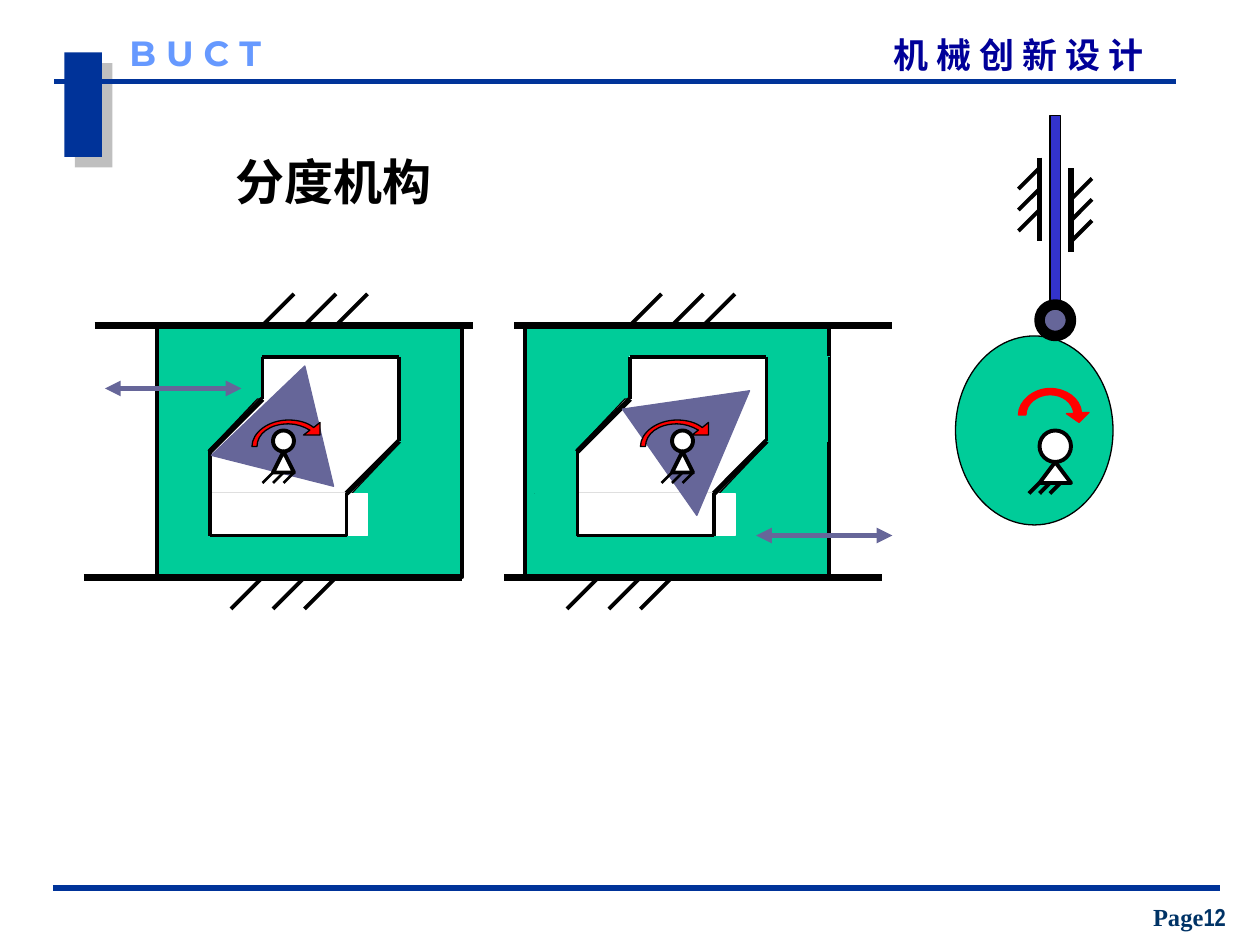
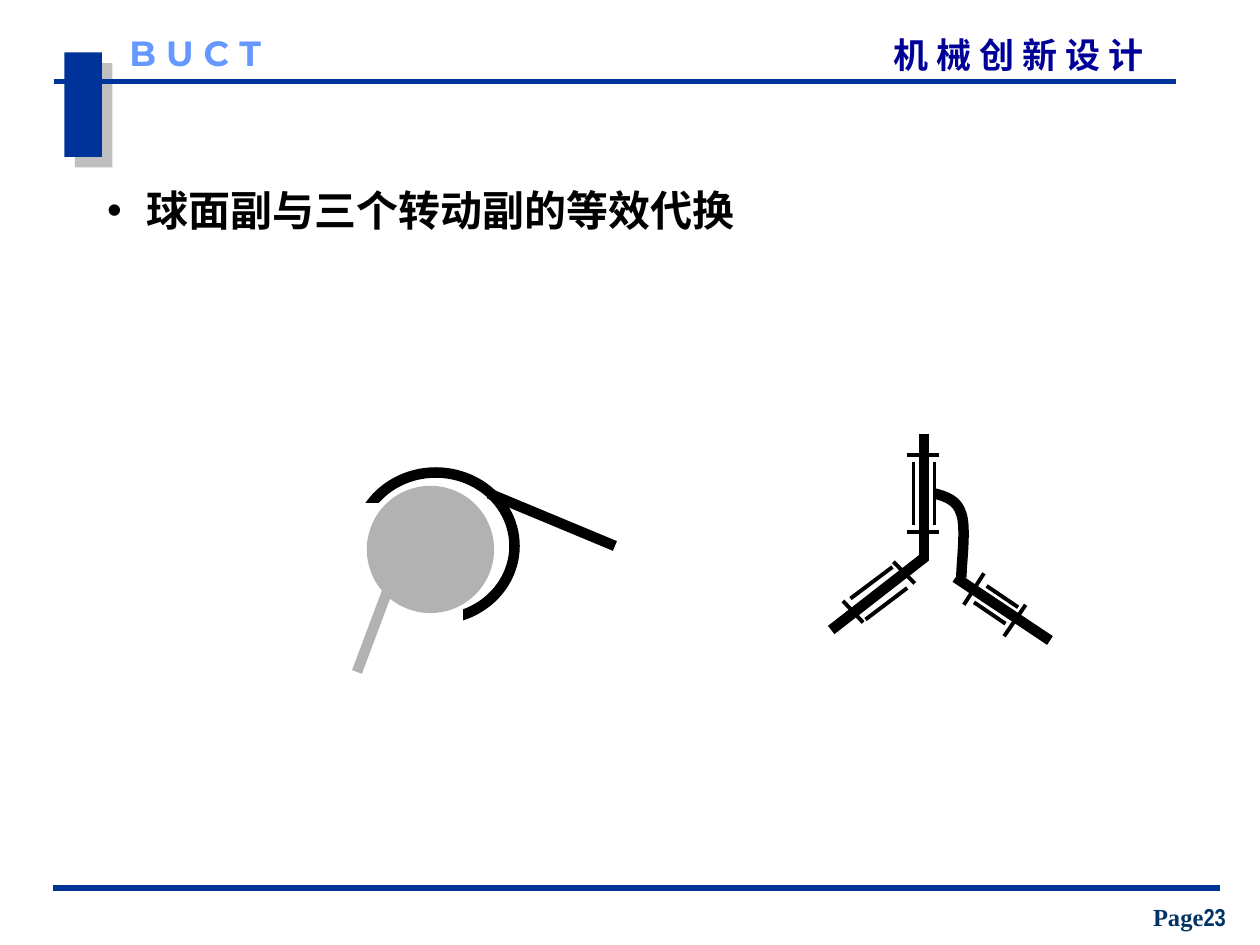
from dataclasses import dataclass

from lxml import etree
from pptx import Presentation
from pptx.dml.color import RGBColor
from pptx.enum import shapes, text
from pptx.oxml import ns
from pptx.util import Pt

KIND = shapes.MSO_SHAPE


@dataclass(frozen=True)
class Theme:
    # Colours
    navy: str = "003399"
    course: str = "000099"
    school: str = "6699FF"
    page: str = "003366"
    ink: str = "000000"
    paper: str = "FFFFFF"
    body: str = "00CC99"
    rotor: str = "666699"
    rod: str = "3333CC"
    motion: str = "FF0000"
    ball: str = "B2B2B2"
    shadow: str = "808080"
    # Fonts and type sizes
    cjk: str = "Noto Sans CJK SC"
    title_font: str = "Lato"
    school_font: str = "Montserrat"
    page_font: str = "Times New Roman"
    number_font: str = "Arial Narrow"
    title_size: float = 28
    list_size: float = 24
    header_size: float = 20
    page_size: float = 14
    # Line widths
    hair: float = 0.75
    thin: float = 1.5
    mid: float = 2.25
    thick: float = 3
    rail: float = 4.5
    heavy: float = 6


T = Theme()


def rgb(color):
    return RGBColor.from_string(color)


def child(parent, tag, **attributes):
    return etree.SubElement(parent, ns.qn(tag), **attributes)


def style_run(run, size, font, color):
    run.font.size = Pt(size)
    run.font.bold = True
    run.font.color.rgb = rgb(color)
    run.font.name = font
    child(run.font._element, "a:ea", typeface=T.cjk)


def set_indent(paragraph, left, first=0):
    properties = paragraph._p.get_or_add_pPr()
    properties.set("marL", str(Pt(left)))
    properties.set("indent", str(Pt(first)))


def set_frame(frame, margins=(7.2, 3.6), anchor=text.MSO_ANCHOR.TOP):
    frame.word_wrap = True
    frame.auto_size = text.MSO_AUTO_SIZE.NONE
    frame.vertical_anchor = anchor
    frame.margin_left = frame.margin_right = Pt(margins[0])
    frame.margin_top = frame.margin_bottom = Pt(margins[1])


class Panel:
    """A region of a slide; everything drawn is relative to its corner."""

    def __init__(self, slide, left=0, top=0):
        self.slide, self.left, self.top = slide, left, top

    def at(self, x, y):
        return Pt(self.left + x), Pt(self.top + y)

    def sub(self, x, y):
        return Panel(self.slide, self.left + x, self.top + y)

    def finish(self, part, fill, line, weight):
        part.shadow.inherit = False
        if fill:
            part.fill.solid()
            part.fill.fore_color.rgb = rgb(fill)
        else:
            part.fill.background()
        if line:
            part.line.color.rgb = rgb(line)
            part.line.width = Pt(weight)
        else:
            part.line.fill.background()
        return part

    def shape(self, kind, x, y, width, height, fill, line=None, weight=T.hair):
        part = self.slide.shapes.add_shape(kind, *self.at(x, y), Pt(width), Pt(height))
        return self.finish(part, fill, line, weight)

    def line(self, x1, y1, x2, y2, weight=T.mid, color=T.ink, arrows=False):
        link = self.slide.shapes.add_connector(
            shapes.MSO_CONNECTOR.STRAIGHT, *self.at(x1, y1), *self.at(x2, y2))
        link.line.color.rgb = rgb(color)
        link.line.width = Pt(weight)
        if arrows:
            for end in ("a:headEnd", "a:tailEnd"):
                child(link.line._get_or_add_ln(), end, type="triangle")
        child(link._element.spPr, "a:effectLst")

    def outline(self, steps, fill, line, weight=T.hair, close=True):
        """Steps of two numbers are corners, steps of six are Bezier curves."""
        points = [self.at(*step[i:i + 2]) for step in steps for i in range(0, len(step), 2)]
        builder = self.slide.shapes.build_freeform(*points[0])
        builder.add_line_segments(points[1:], close=close)
        part = builder.convert_to_shape()
        bend(part, steps)
        return self.finish(part, fill, line, weight)

    def hatch(self, starts, dx, dy, weight=T.mid):
        for x, y in starts:
            self.line(x, y, x + dx, y + dy, weight)

    def label(self, words, x, y, width, height, size, font, color, indent=0):
        box = self.slide.shapes.add_textbox(*self.at(x, y), Pt(width), Pt(height))
        set_frame(box.text_frame, margins=(0, 0))
        box.text_frame.text = words
        paragraph = box.text_frame.paragraphs[0]
        set_indent(paragraph, indent)
        style_run(paragraph.runs[0], size, font, color)


def bend(part, steps):
    """Join the three segments of each six-number step into one curve."""
    segments = iter(list(part._element.iter(ns.qn("a:lnTo"))))
    for step in steps[1:]:
        first = next(segments)
        if len(step) == 6:
            first.tag = ns.qn("a:cubicBezTo")
            for _ in range(2):
                segment = next(segments)
                first.append(segment[0])
                segment.getparent().remove(segment)


# Shared header, footer and headings

def draw_page_frame(slide, number):
    page = Panel(slide)
    band = page.shape(KIND.RECTANGLE, 36.8, 30, 21.4, 59.6, T.navy)
    shadow = child(band._element.spPr.find(ns.qn("a:effectLst")), "a:outerShdw",
                   dist=str(Pt(8.5)), dir="2700000", algn="ctr", rotWithShape="0")
    tint = child(shadow, "a:srgbClr", val=T.shadow)
    child(tint, "a:alpha", val="50000")

    page.line(31.1, 46.6, 672, 46.6, T.thick, T.navy)
    page.label("机 械 创 新 设 计", 391.7, 19.2, 295.2, 24, T.header_size, T.cjk, T.course,
               indent=118.9)
    page.line(30.3, 507.4, 697, 507.4, T.thick, T.navy)
    page.label("B U C T", 74, 18, 102, 24, T.header_size, T.school_font, T.school)

    # Page number
    box = slide.shapes.add_textbox(*page.at(645.5, 512), Pt(68.4), Pt(24))
    set_frame(box.text_frame, anchor=text.MSO_ANCHOR.BOTTOM)
    folio = box.text_frame.paragraphs[0]
    folio.alignment = text.PP_ALIGN.CENTER
    for words, font in (("Page", T.page_font), (str(number), T.number_font)):
        run = folio.add_run()
        run.text = words
        style_run(run, T.page_size, font, T.page)


def set_heading(holder, words, box, size, font, anchor):
    holder.left, holder.top, holder.width, holder.height = map(Pt, box)
    set_frame(holder.text_frame, anchor=anchor)
    holder.text_frame.text = words
    paragraph = holder.text_frame.paragraphs[0]
    paragraph.alignment = text.PP_ALIGN.LEFT
    paragraph.space_before = Pt(0)
    style_run(paragraph.runs[0], size, font, T.ink)
    return paragraph


# Indexing mechanisms

CAM_TURN = [(31.7, 14.4), (31, 7.9, 25.2, 3.6, 18, 3.6), (10.8, 3.6, 4.3, 8.6, 4.3, 15.1),
            (0, 15.1), (0, 7.2, 8.6, 0, 18, 0), (27.4, 0, 35.3, 5.8, 36, 13.7),
            (40.3, 13.7), (34.6, 19.4), (27.4, 14.4)]
ROTOR_TURN = [(33.1, 5.8), (29.5, 3.6, 25.2, 2.2, 20.9, 2.2), (10.1, 2.2, 2.9, 7.9, 2.9, 15.1),
              (0, 15.1), (0, 7.2, 9.4, 0, 20.9, 0), (26.6, 0, 31.7, 1.4, 35.3, 4.3),
              (38.9, 1.4), (38.9, 8.6), (29.5, 8.6)]
WINDOW_FILLS = (((60, 18, 114, 24), T.paper), ((138, 18, 36, 48), T.body),
                ((30, 96, 90, 24), T.paper), ((6, 72, 24, 48), T.body))
WINDOW_EDGES = ((60, 18, 138, 18), (30, 120, 108, 120), (138, 18, 138, 66),
                (30, 72, 30, 120), (60, 18, 60, 42), (108, 96, 108, 120))
WINDOW_SLOPES = ((60, 42, 30, 72), (138, 66, 108, 96))


def draw_pivot(pivot, size, weight):
    pivot.shape(KIND.OVAL, 0, 0, size, size, T.paper, T.ink, T.mid)
    pivot.shape(KIND.ISOSCELES_TRIANGLE, 0, size, size, 12, T.paper, T.ink, T.mid)
    pivot.hatch([(x, size + 12) for x in (0, 12, 6)], -6, 6, weight)


def draw_rail(rail, hatch_x, hatch_top):
    rail.line(0, 0, 216, 0, T.rail)
    rail.hatch([(hatch_x + x, hatch_top) for x in (0, 24, 42)], -18, 18)


def draw_indexer(frame, rotor, angle, pivot_x, turn_x, rail_x, hatches, side_top, travel):
    # Sliding frame with its window
    frame.shape(KIND.RECTANGLE, 0, 0, 174, 144, T.body, T.ink, T.mid)
    opening = frame.shape(KIND.PARALLELOGRAM, 6, 42, 156, 54, T.paper, T.ink)
    opening.adjustments[0] = 0.946
    for box, color in WINDOW_FILLS:
        frame.shape(KIND.RECTANGLE, *box, color, color)
    for edge in WINDOW_EDGES:
        frame.line(*edge)
    for slope in WINDOW_SLOPES:
        frame.line(*slope, T.thick)

    # Rotor on its pivot
    wedge = frame.shape(KIND.ISOSCELES_TRIANGLE, *rotor, T.rotor, T.rotor)
    wedge.adjustments[0] = 0.545
    wedge.rotation = angle
    draw_pivot(frame.sub(pivot_x, 60), 12, T.thin)

    # Fixed rails, side of the frame and directions of motion
    draw_rail(frame.sub(rail_x, 0), hatches[0], -18)
    draw_rail(frame.sub(rail_x - 6, 144), hatches[1], 0)
    frame.line(174, side_top, 174, side_top + 60)
    frame.sub(turn_x, 54).outline(ROTOR_TURN, T.motion, T.ink)
    x, y = travel
    frame.line(x, y, x + 78, y, T.thick, T.rotor, arrows=True)


def draw_cam(cam):
    cam.shape(KIND.OVAL, 0, 126, 90, 108, T.body, T.ink)
    draw_pivot(cam.sub(48, 180), 18, T.mid)
    cam.shape(KIND.RECTANGLE, 54, 0, 6, 126, T.rod, T.ink)
    cam.shape(KIND.OVAL, 48, 108, 18, 18, T.rotor, T.ink, T.heavy)

    # Guides on both sides of the rod
    cam.line(48, 24, 48, 72, T.thick)
    cam.hatch([(48, 30 + 12 * i) for i in range(3)], -12, 12)
    cam.line(66, 78, 66, 30, T.thick)
    cam.hatch([(66, 72 - 12 * i) for i in range(3)], 12, -12)
    cam.sub(36, 156).outline(CAM_TURN, T.motion, T.motion)


def build_indexing(deck):
    slide = deck.slides.add_slide(deck.slide_layouts[5])
    draw_page_frame(slide, 12)
    set_heading(slide.shapes.title, "分度机构", (127.4, 82.8, 244, 41),
                T.title_size, T.title_font, text.MSO_ANCHOR.TOP)
    draw_cam(Panel(slide, 546, 66))
    draw_indexer(Panel(slide, 90, 186), rotor=(37.4, 21.4, 72, 62.6), angle=14.2, pivot_x=66,
                 turn_x=54, rail_x=-36, hatches=(114, 102), side_top=12, travel=(-30, 36))
    draw_indexer(Panel(slide, 300, 186), rotor=(60, 42.2, 73.4, 66.2), angle=171.8, pivot_x=84,
                 turn_x=66, rail_x=-6, hatches=(84, 54), side_top=18, travel=(132, 120))


# Equivalent joints

def draw_ball_joint(joint):
    joint.shape(KIND.OVAL, 0, 0, 90, 84, T.paper, T.ink, T.heavy)
    joint.shape(KIND.RECTANGLE, -42, 18, 102, 90, T.paper, T.paper)  # socket opening
    joint.shape(KIND.OVAL, 6, 8, 72, 72, T.ball, T.ball)
    joint.line(75.4, 12, 147.4, 42, T.heavy)
    joint.line(18, 66, 0, 114, T.heavy, T.ball)


def draw_revolutes(joint):
    # Rods and the elbow between them
    for rod in ((53, 0, 53, 72), (54, 70, 0, 112), (71, 82, 125, 118)):
        joint.line(*rod, T.heavy)
    joint.outline([(59, 34), (65.5, 35.7, 72.2, 37.8, 74.4, 45.8),
                   (77.2, 53.7, 74.4, 73.8, 74.4, 82)], None, T.ink, T.heavy, close=False)

    # Each sleeve: two sides, then two collars
    sleeves = (
        ((47, 16, 47, 52), (59, 16, 59, 52), (43.4, 12, 61.4, 12), (43.4, 56, 61.4, 56)),
        ((35, 76, 11, 94), (43.4, 88, 19.6, 106), (35.5, 73, 47.7, 85.4), (6.7, 95.4, 18.2, 107.7)),
        ((88.8, 86.8, 106.8, 99), (81.6, 96.2, 99.6, 108.4),
         (87.3, 79.6, 75.8, 97.6), (111.1, 97.6, 98.8, 115.6)),
    )
    for sleeve in sleeves:
        for edge in sleeve:
            joint.line(*edge)


def build_joints(deck):
    slide = deck.slides.add_slide(deck.slide_layouts[1])
    heading = slide.shapes.title.element
    heading.getparent().remove(heading)
    draw_page_frame(slide, 23)
    item = set_heading(slide.placeholders[1], "球面副与三个转动副的等效代换",
                       (54, 101.5, 396, 36.7), T.list_size, T.cjk, text.MSO_ANCHOR.MIDDLE)
    set_indent(item, 22.6, -22.6)
    draw_ball_joint(Panel(slide, 204, 270))
    draw_revolutes(Panel(slide, 475, 248))


def main():
    deck = Presentation()
    deck.slide_width, deck.slide_height = Pt(720), Pt(540)
    build_indexing(deck)
    build_joints(deck)
    deck.save("out.pptx")


if __name__ == "__main__":
    main()
